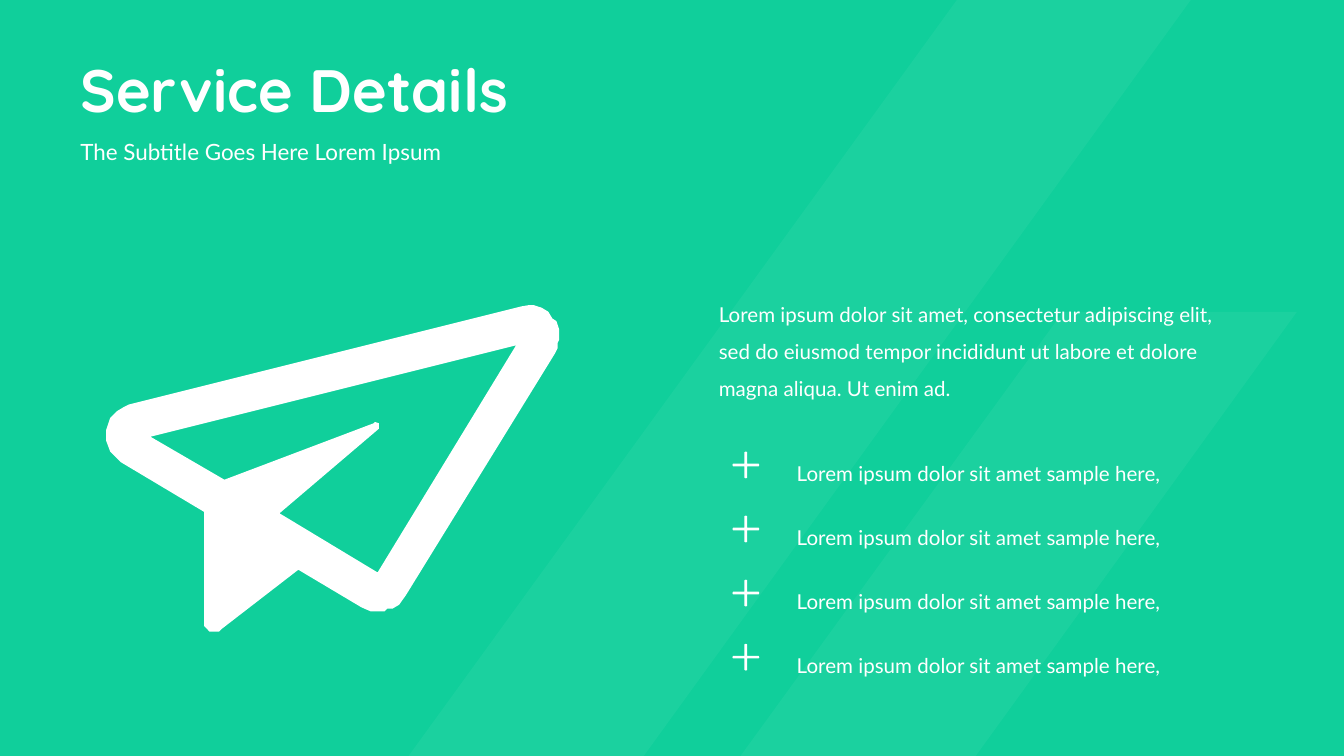
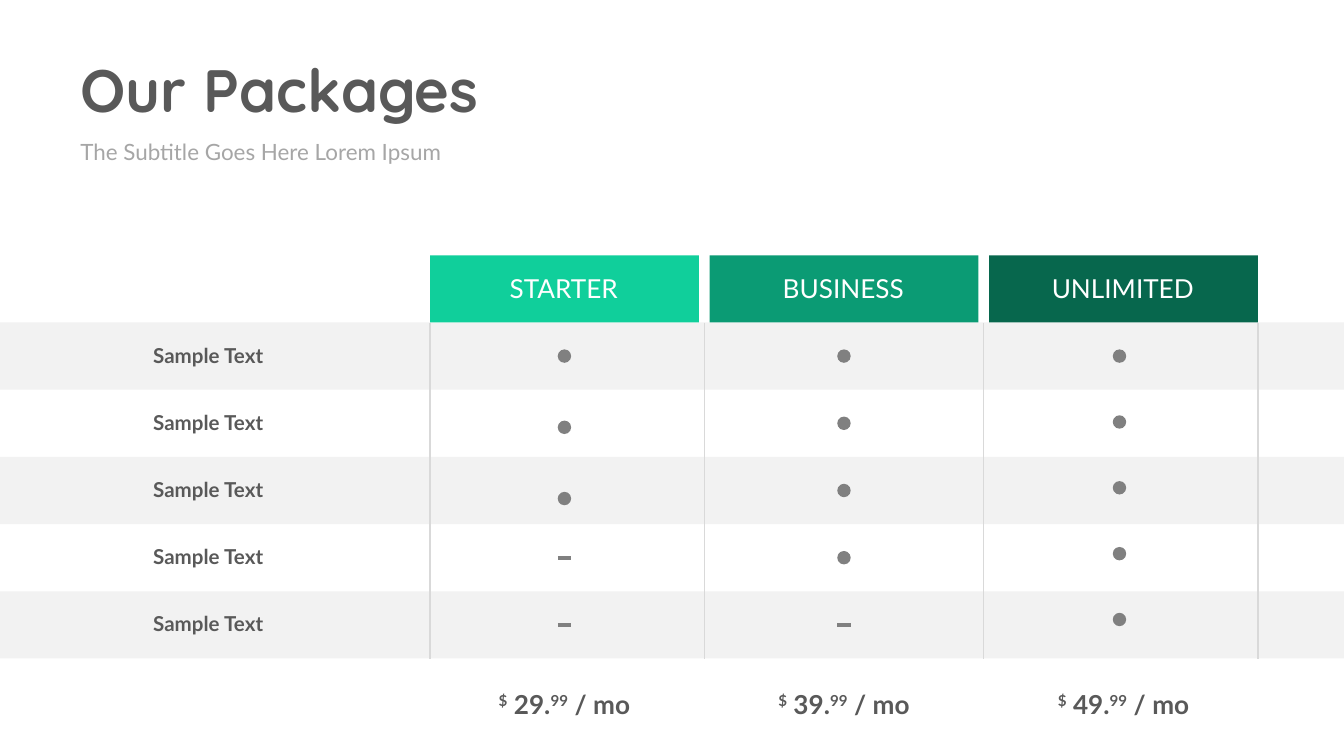
from lxml.etree import SubElement
from pptx import Presentation
from pptx.dml.color import RGBColor
from pptx.enum.shapes import MSO_CONNECTOR, MSO_SHAPE
from pptx.enum.text import MSO_AUTO_SIZE, PP_ALIGN
from pptx.oxml.ns import qn
from pptx.util import Inches, Pt

WHITE, GREEN, MINT = "FFFFFF", "10CF9B", "EAFDF8"
DARK, MUTED, MARK = "595959", "A6A6A6", "808080"
BAND, RULE = "F2F2F2", "D9D9D9"
BODY, HEADING = "Lato", "Quicksand"
COLUMNS = 10  # square grid cells across the slide
ROWS = COLUMNS * 9 / 16


def color(value):
    return RGBColor.from_string(value)


class Slides:
    """Holds the style and the current slide; lengths are grid cells."""

    def __init__(self):
        self.deck = Presentation()
        self.deck.slide_width = Inches(10)
        self.cell = self.deck.slide_width / COLUMNS
        self.deck.slide_height = self.size(ROWS)
        self.page = None

    def size(self, cells):
        return round(cells * self.cell)

    def sizes(self, *cells):
        return [self.size(cell) for cell in cells]

    def new_page(self, background):
        self.page = self.deck.slides.add_slide(self.deck.slide_layouts[6])
        self.page.background.fill.solid()
        self.page.background.fill.fore_color.rgb = color(background)

    def paint(self, shape, fill, opacity=None):
        shape.shadow.inherit = False
        shape.line.fill.background()
        shape.fill.solid()
        shape.fill.fore_color.rgb = color(fill)
        if opacity is not None:
            tint = shape.element.spPr.find(qn("a:solidFill")).find(qn("a:srgbClr"))
            SubElement(tint, qn("a:alpha")).set("val", str(opacity * 1000))

    def shape(self, kind, left, top, width, height, fill):
        shape = self.page.shapes.add_shape(kind, *self.sizes(left, top, width, height))
        self.paint(shape, fill)

    def outline(self, contours, fill, opacity=None):
        contours = [[self.sizes(*point) for point in contour] for contour in contours]
        builder = self.page.shapes.build_freeform(*contours[0][0], scale=1.0)
        for index, (start, *rest) in enumerate(contours):
            if index:
                builder.move_to(*start)
            builder.add_line_segments(rest, close=True)
        self.paint(builder.convert_to_shape(), fill, opacity)

    def line(self, start, end, stroke, width):
        line = self.page.shapes.add_connector(
            MSO_CONNECTOR.STRAIGHT, *self.sizes(*start, *end))
        line.line.color.rgb = color(stroke)
        line.line.width = Pt(width)
        SubElement(line.element.spPr, qn("a:effectLst"))

    def text(self, left, top, width, height, spans, points, ink, font=BODY,
             bold=False, align=PP_ALIGN.LEFT, spacing=None):
        """Each span is a pair: its words and whether they are raised."""
        box = self.page.shapes.add_textbox(*self.sizes(left, top, width, height))
        box.text_frame.word_wrap = True
        box.text_frame.auto_size = MSO_AUTO_SIZE.SHAPE_TO_FIT_TEXT
        para = box.text_frame.paragraphs[0]
        para.alignment = align
        para.line_spacing = spacing
        for words, raised in spans:
            span = para.add_run()
            span.text = words
            span.font.name = font
            span.font.size = Pt(points)
            span.font.bold = bold
            span.font.color.rgb = color(ink)
            if raised:
                span.font._element.set("baseline", "30000")

    def heading(self, title, title_ink, subtitle_ink):
        self.text(0.5, 0.34, 6.25, 0.64, [(title, False)], 32, title_ink, HEADING, True)
        self.text(0.5, 0.98, 4.75, 0.3, [("The Subtitle Goes Here Lorem Ipsum", False)],
                  12, subtitle_ink)

    def plus(self, x, y, reach, half, fill):
        """A cross with softened tips: one arm turned four times."""
        arm = [(-half, -half), (-half, half / 2 - reach), (0, -reach),
               (half, half / 2 - reach)]
        points = []
        for _ in range(4):
            points += [(x + dx, y + dy) for dx, dy in arm]
            arm = [(-dy, dx) for dx, dy in arm]
        self.outline([points], fill)


# Paper plane: inner cut-out, then outer edge
PLANE = [
    [(3.84, 2.57), (1.12, 3.25), (1.67, 3.57), (2.78, 3.15), (2.79, 3.14), (2.82, 3.15),
     (2.82, 3.19), (2.08, 3.82), (2.81, 4.26)],
    [(3.94, 2.27), (3.97, 2.27), (4.03, 2.29), (4.08, 2.32), (4.11, 2.37), (4.14, 2.39),
     (4.16, 2.45), (4.16, 2.53), (4.15, 2.55), (4.15, 2.59), (4.13, 2.63), (3.02, 4.43),
     (2.97, 4.5), (2.92, 4.53), (2.88, 4.53), (2.86, 4.55), (2.76, 4.55), (2.69, 4.52),
     (2.22, 4.24), (1.65, 4.68), (1.63, 4.7), (1.56, 4.7), (1.52, 4.66), (1.52, 3.81),
     (0.9, 3.44), (0.82, 3.36), (0.79, 3.28), (0.79, 3.2), (0.82, 3.11), (0.85, 3.08),
     (0.87, 3.06), (0.92, 3.03), (0.96, 3.01), (3.88, 2.28)],
]


def service_details(slides):
    slides.new_page(GREEN)

    # Slanted background bands
    slides.outline([
        [(7.91, 2.32), (9.65, 2.32), (7.26, ROWS), (5.51, ROWS)],
        [(7.12, 0), (8.86, 0), (4.79, ROWS), (3.04, ROWS)],
    ], MINT, opacity=5)

    slides.heading("Service Details", WHITE, WHITE)
    slides.outline(PLANE, WHITE)

    # Introduction and list
    intro = ("Lorem ipsum dolor sit amet, consectetur adipiscing elit, sed do eiusmod "
             "tempor incididunt ut labore et dolore magna aliqua. Ut enim ad.")
    slides.text(5.25, 2.11, 4.08, 0.9, [(intro, False)], 11, WHITE, spacing=1.5)
    pitch = 1.43 / 3
    for item in range(4):
        top = 3.29 + item * pitch
        slides.plus(5.55, top + 0.17, 0.1, 0.01, WHITE)
        slides.text(5.83, top, 3.44, 0.34,
                    [("Lorem ipsum dolor sit amet sample here,", False)],
                    11, WHITE, spacing=1.5)


# Name, price, header colour, left of marks, pitch of dots, rows included
PACKAGES = [
    ("STARTER", 29, GREEN, 4.15, 0.53, 3),
    ("BUSINESS", 39, "0B9B74", 6.23, 0.5, 4),
    ("UNLIMITED", 49, "07674D", 8.28, 0.49, 5),
]


def our_packages(slides):
    slides.new_page(WHITE)
    slides.heading("Our Packages", DARK, MUTED)
    features, row, top = 5, 0.5, 2.4
    bottom = top + features * row
    first, width, gap = 3.2, 2, 0.08
    lefts = [first + index * (width + gap) for index in range(len(PACKAGES))]
    center = PP_ALIGN.CENTER

    # Row bands and labels
    for index in range(features):
        row_top = top + index * row
        if index % 2 == 0:
            slides.shape(MSO_SHAPE.RECTANGLE, 0, row_top, COLUMNS, row, BAND)
        slides.text(0.92, row_top + 0.1, 1.26, 0.29, [("Sample Text", False)],
                    11, DARK, bold=True, align=center)

    # Column rules
    for x in [first, *[left - gap / 2 for left in lefts[1:]], lefts[-1] + width]:
        slides.line((x, top), (x, bottom), RULE, 0.75)

    # Package headers, marks and prices
    for left, (name, price, fill, mark, pitch, included) in zip(lefts, PACKAGES):
        slides.shape(MSO_SHAPE.RECTANGLE, left, top - row, width, row, fill)
        slides.text(left + 0.12, 1.98, 1.75, 0.34, [(name, False)], 14, WHITE,
                    align=center)
        for index in range(features):
            if index < included:
                slides.shape(MSO_SHAPE.OVAL, mark, 2.6 + index * pitch, 0.1, 0.1, MARK)
            else:
                y = top + (index + 0.5) * row
                slides.line((mark, y), (mark + 0.1, y), MARK, 2.25)
        slides.text(left + 0.21, 5.07, 1.58, 0.34,
                    [("$", True), (f" {price}.", False), ("99", True), (" / mo", False)],
                    14, DARK, bold=True, align=center)


def main():
    slides = Slides()
    service_details(slides)
    our_packages(slides)
    slides.deck.save("out.pptx")


if __name__ == "__main__":
    main()
